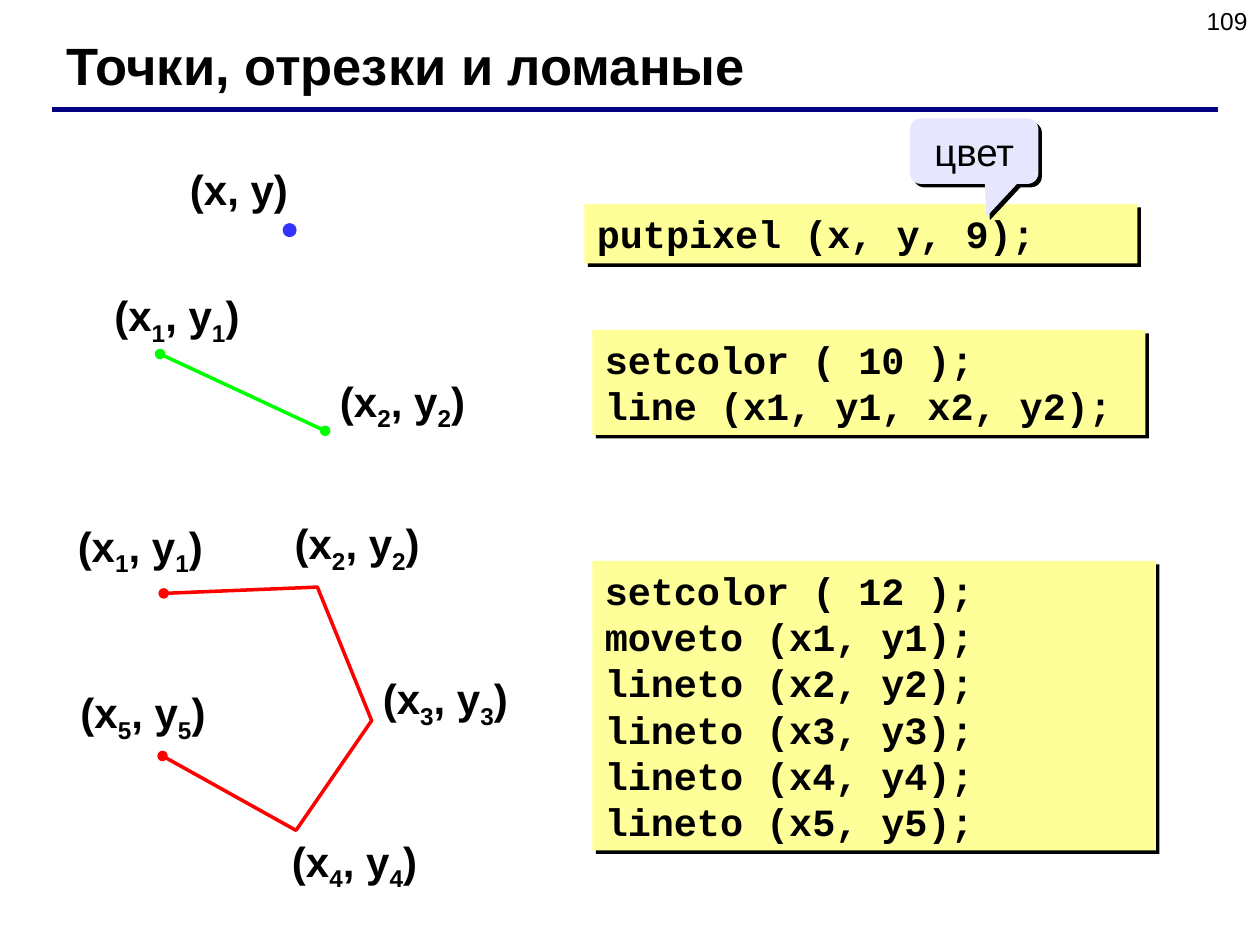
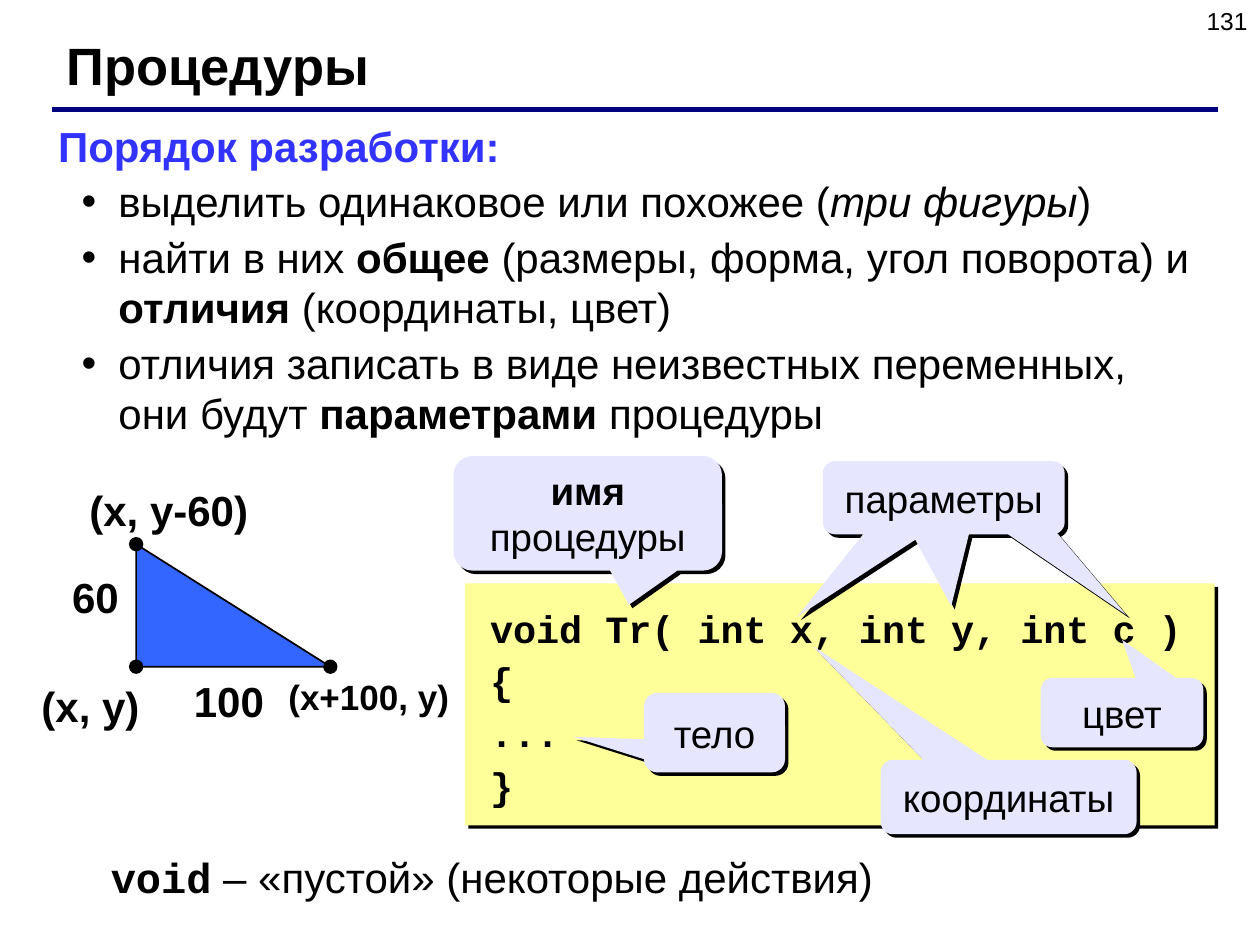
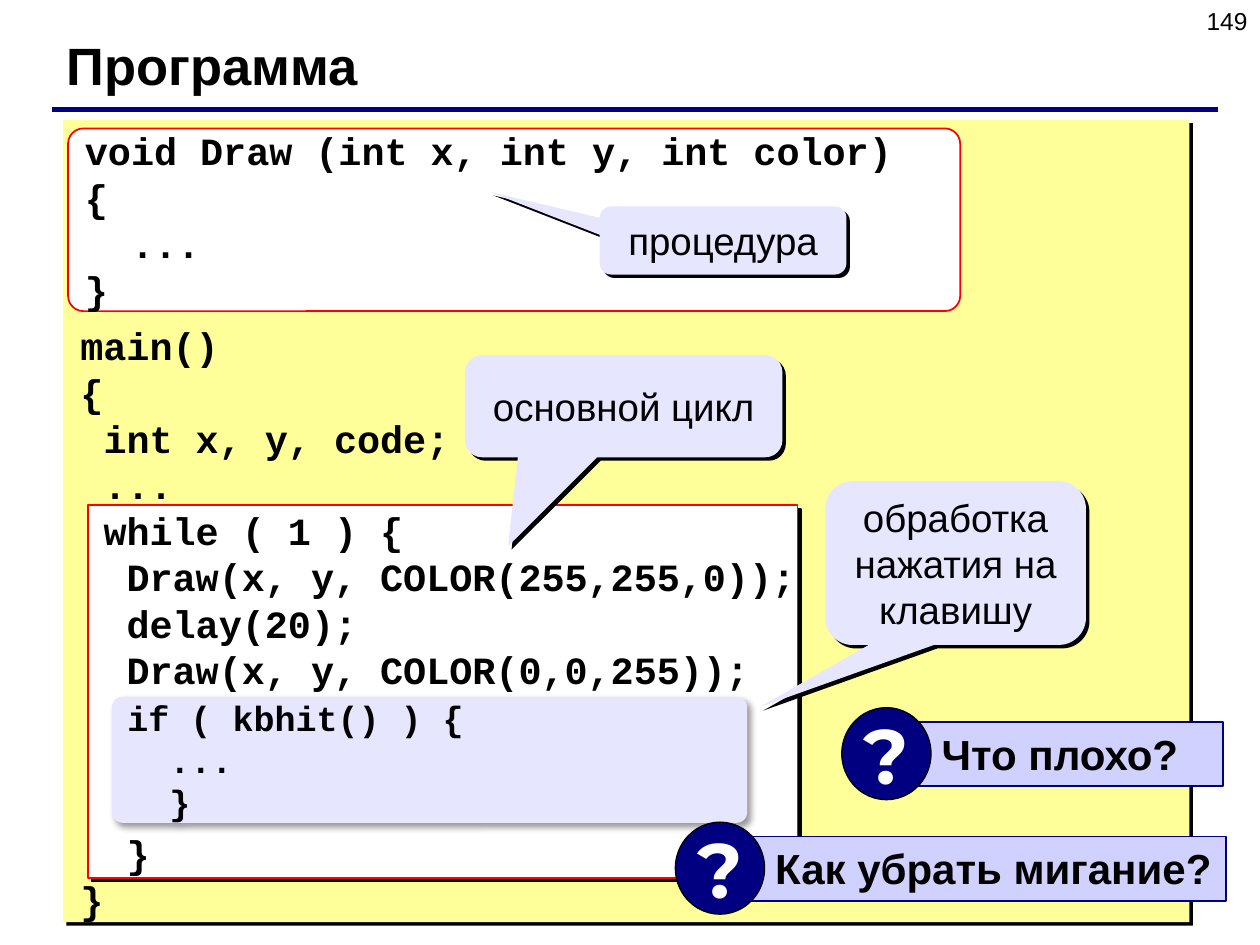
from dataclasses import dataclass

from lxml import etree
from pptx import Presentation
from pptx.dml import color
from pptx.enum import shapes, text
from pptx.oxml import ns
from pptx.util import Pt

# ---- Content: frames are (left, top, width, height) in points ----
HEADINGS = [("109", "Точки, отрезки и ломаные"), ("131", "Процедуры"), ("149", "Программа")]

PIXEL_LABEL = ("(x, y)", (101.5, 90, 89, 36))
PIXEL_DOT = (162, 128, 7, 7)
SEGMENT = [(91.5, 202.3), (185.8, 246.2)]
SEGMENT_LABELS = [(58.3, 162), (187.2, 211)]
POLYLINE = [(93.6, 339.1), (181.4, 335.5), (212.4, 411.8), (169.2, 474.5), (92.9, 432)]
POLYLINE_LABELS = [(37.4, 293.8), (161.3, 292.3), (211.7, 380.9), (159.8, 473.8), (38.9, 388.8)]
DRAWING_CODE = [
    ((334, 116.5, 316, 34), ["putpixel (x, y, 9);"]),
    ((338.5, 188.5, 316, 60), ["setcolor ( 10 );", "line (x1, y1, x2, y2);"]),
    ((338.5, 320.5, 322, 165.5), ["setcolor ( 12 );", "moveto (x1, y1);"]
     + [f"lineto (x{n}, y{n});" for n in range(2, 6)]),
]

# Callouts: frame, tail tip, lines
PIXEL_CALLOUT = ((520, 67.7, 73.4, 37.4), (0.095, 1.002), ["цвет"])

STEPS_HEADING = "Порядок разработки:"
STEPS = [
    ["выделить одинаковое или похожее (", ("три фигуры", "italic"), ")"],
    ["найти в них ", ("общее", "bold"), " (размеры, форма, угол поворота) и ",
     ("отличия", "bold"), " (координаты, цвет)"],
    ["отличия записать в виде неизвестных переменных, они будут ",
     ("параметрами", "bold"), " процедуры"],
]
TRIANGLE = (77.8, 311, 111, 70)
TRIANGLE_LABELS = [
    ("(x, y)", (16.6, 385.2, 79, 36), 24, "LEFT"),
    ("100", (103.7, 382.3, 73, 36), 24, "LEFT"),
    ("60", (26, 323.3, 49, 36), 24, "RIGHT"),
    ("(x+100, y)", (157.7, 382.3, 112, 31), 20, "LEFT"),
    ("(x, y-60)", (44, 273.6, 118, 36), 24, "LEFT"),
]
PROCEDURE_PANEL = (265.7, 333.4, 428.4, 138.2)
PROCEDURE_CODE = ((273, 342, 417.6, 126),
                  ["void Tr( int x, int y, int c )", "{", "...", "}"])
PROCEDURE_CALLOUTS = [
    ((259.2, 260.6, 153.4, 65.5), (0.153, 0.798), [[("имя", "bold")], "процедуры"]),
    ((368, 396, 80.6, 45.4), (-1.004, 0.052), ["тело"]),
    ((503.3, 434.2, 146.2, 42.5), (-0.766, -2.032), ["координаты"]),
    ((594.7, 387.4, 92.9, 39.6), (0.001, -1.05), ["цвет"]),
    ((470.2, 263.5, 138.2, 41.8), (-0.606, 1.627), ["параметры"]),
]
PARAMETER_TAILS = [(543.6, 346.3), (519.8, 302.4), (603.4, 303.8),
                   (643.7, 351.4), (576, 305.3), (553.7, 305.3)]
VOID_NOTE = ((56.2, 483.1, 454.3, 36.7),
             [[("void", "code"), " – «пустой» (некоторые действия)"]])

PROGRAM_PANEL = (36, 68.4, 643.7, 458.6)
LOOP_PANEL = (50.4, 288.7, 405.4, 213.1)
DRAW_CODE = ((38.9, 73.4, 509.8, 104.4),
             ["void Draw (int x, int y, int color)", "{", "  ...", "}"])
KEY_CODE = ((64, 398.2, 363, 72), ["if ( kbhit() ) {", "  ...", "  }"])
MAIN_CODE = ((38.9, 180.7, 600.5, 354.2), [
    "main()", "{", " int x, y, code;", " ...", " while ( 1 ) {",
    "  Draw(x, y, COLOR(255,255,0));", "  delay(20);", "  Draw(x, y, COLOR(0,0,255));",
    "  }", "}"])
LOOP_END, KEY_CODE_GAP = 8, 79  # line after the inner block, and the room left for it
PROGRAM_CALLOUTS = [
    ((342.7, 118, 141, 38.9), (-0.945, -0.713), ["процедура"]),
    ((265.7, 203, 181.4, 58.3), (-0.364, 1.371), ["основной цикл"]),
    ((471.6, 275, 149, 93.6), (-0.752, 0.88), ["обработка нажатия на клавишу"]),
]
QUESTIONS = [("Что плохо?", (517.7, 412.6, 181.4, 36.7)),
             ("Как убрать мигание?", (422.6, 478, 278, 36.7))]


# ---- Theme ----
@dataclass(frozen=True)
class Theme:
    sans: str = "Arial"
    mono: str = "Courier New"
    badge_font: str = "Montserrat"
    black: str = "000000"
    white: str = "FFFFFF"
    navy: str = "000080"
    blue: str = "3333FF"
    triangle: str = "3366FF"
    green: str = "00FF00"
    red: str = "FF0000"
    code_fill: str = "FFFF99"
    callout_fill: str = "E6E6FF"
    question_fill: str = "D1D1FF"
    number_size: int = 14
    title_size: int = 30
    text_size: int = 24
    code_size: int = 22
    small_code_size: int = 20
    badge_size: int = 44


T = Theme()
SHAPE = shapes.MSO_SHAPE
NUMBER_FRAME, TITLE_FRAME = (552, 0, 168, 37.5), (31, 15, 641, 43)
BODY_FRAME = (26, 65, 663, 195)
RULE = [(29.5, 62.7), (696, 62.7)]


# ---- Text helpers ----
def rgb(value):
    return color.RGBColor.from_string(value)


def points(values):
    return [Pt(value) for value in values]


def set_font(font, size, name=T.sans, tint=T.black, bold=False):
    font.size, font.name, font.bold = Pt(size), name, bold
    font.color.rgb = rgb(tint)


def add_spans(para, spans):
    """Spans are plain strings or (text, style) pairs."""
    for item in [spans] if isinstance(spans, str) else spans:
        words, style = (item, "") if isinstance(item, str) else item
        span = para.add_run()
        span.text = words
        if style in ("bold", "code"):
            span.font.bold = True
        if style == "code":
            span.font.name = T.mono
        if style == "italic":
            span.font.italic = True
        if style == "sub":
            span.font._element.set("baseline", "-25000")


def indent(para, left, first=0):
    props = para._p.get_or_add_pPr()
    props.set("marL", str(Pt(left)))
    props.set("indent", str(Pt(first)))
    return props


def write(box, lines, size, align="LEFT", anchor="TOP", gap=0, wrap=True, **font):
    """Fill a box with paragraphs; leading blanks in code become indents."""
    frame = box.text_frame
    frame.word_wrap = wrap
    frame.auto_size = text.MSO_AUTO_SIZE.NONE
    frame.vertical_anchor = getattr(text.MSO_ANCHOR, anchor)
    for number, line in enumerate(lines):
        para = frame.add_paragraph() if number else frame.paragraphs[0]
        para.alignment = getattr(text.PP_ALIGN, align)
        para.space_before = Pt(gap if number else 0)
        if isinstance(line, str):
            depth = len(line) - len(line.lstrip())
            if depth:
                indent(para, round(depth * size * 0.6, 2))
            line = line.lstrip()
        add_spans(para, line)
        set_font(para.font, size, **font)
    return box


def place(box, frame):
    box.left, box.top, box.width, box.height = points(frame)


def add_text(page, frame, lines, size, **style):
    return write(page.shapes.add_textbox(*points(frame)), lines, size, **style)


def add_label(page, words, frame, size=T.text_size, align="LEFT"):
    add_text(page, frame, [words], size, align=align, bold=True)


def add_code(box, lines, size=T.code_size, **style):
    return write(box, lines, size, name=T.mono, bold=True, **style)


# ---- Shape helpers ----
def cast_shadow(shape, distance=2.8, blur=0, opacity=100):
    effects = shape.element.spPr.find(ns.qn("a:effectLst"))
    outer = etree.SubElement(effects, ns.qn("a:outerShdw"), blurRad=str(Pt(blur)),
                             dist=str(Pt(distance)), dir="2700000", algn="ctr", rotWithShape="0")
    tint = etree.SubElement(outer, ns.qn("a:srgbClr"), val=T.black)
    etree.SubElement(tint, ns.qn("a:alpha"), val=str(opacity * 1000))


def paint(shape, fill=None, line=None, width=1, shadow=False):
    shape.shadow.inherit = False
    if fill:
        shape.fill.solid()
        shape.fill.fore_color.rgb = rgb(fill)
    else:
        shape.fill.background()
    if line:
        shape.line.color.rgb = rgb(line)
        shape.line.width = Pt(width)
    else:
        shape.line.fill.background()
    if shadow:
        cast_shadow(shape)
    return shape


def add_box(page, kind, frame, fill, **style):
    return paint(page.shapes.add_shape(kind, *points(frame)), fill, **style)


def add_panel(page, frame):
    return add_box(page, SHAPE.RECTANGLE, frame, T.code_fill, shadow=True)


def add_callout(page, frame, tip, lines):
    box = add_box(page, SHAPE.ROUNDED_RECTANGULAR_CALLOUT, frame, T.callout_fill, shadow=True)
    box.adjustments[0], box.adjustments[1] = tip
    write(box, lines, T.code_size, align="CENTER", anchor="MIDDLE")


def add_line(page, ends, tint, width):
    start, end = ends
    line = page.shapes.add_connector(shapes.MSO_CONNECTOR.STRAIGHT, *points(start + end))
    line.line.color.rgb = rgb(tint)
    line.line.width = Pt(width)
    etree.SubElement(line.element.spPr, ns.qn("a:effectLst"))
    return line


def add_outline(page, corners, close):
    start, *rest = [points(corner) for corner in corners]
    builder = page.shapes.build_freeform(*start, scale=1.0)
    builder.add_line_segments(rest, close=close)
    return builder.convert_to_shape()


def round_ends(shape):
    stroke = shape.element.spPr.find(ns.qn("a:ln"))
    for end in ("a:headEnd", "a:tailEnd"):
        etree.SubElement(stroke, ns.qn(end), type="oval")


def add_question(page, words, frame):
    left, top = frame[:2]
    banner = add_box(page, SHAPE.RECTANGLE, frame, T.question_fill, line=T.navy)
    write(banner, [words], T.text_size, bold=True)
    indent(banner.text_frame.paragraphs[0], 13.3)
    badge = add_box(page, SHAPE.OVAL, (left - 36.7, top - 8.2, 51, 52.6), T.navy,
                    line=T.black, width=0.75)
    write(badge, ["?"], T.badge_size, align="CENTER", anchor="MIDDLE", wrap=False,
          name=T.badge_font, tint=T.white, bold=True)


def start_page(deck, heading, layout=5):
    """Number, title and rule shared by every slide."""
    number, title = heading
    page = deck.slides.add_slide(deck.slide_layouts[layout])
    place(page.shapes.title, TITLE_FRAME)
    write(page.shapes.title, [title], T.title_size, bold=True)
    add_text(page, NUMBER_FRAME, [number], T.number_size, align="RIGHT")
    add_line(page, RULE, T.navy, 3)
    return page


# ---- Slides ----
def point_name(n):
    return ["(x", (str(n), "sub"), ", y", (str(n), "sub"), ")"]


def build_drawing(deck):
    page = start_page(deck, HEADINGS[0])
    round_ends(add_line(page, SEGMENT, T.green, 2))
    route = paint(add_outline(page, POLYLINE, close=False), line=T.red, width=2)
    round_ends(route)
    for spots in (SEGMENT_LABELS, POLYLINE_LABELS):
        for n, spot in enumerate(spots, 1):
            add_label(page, point_name(n), spot + (89, 36))
    add_label(page, *PIXEL_LABEL)
    add_box(page, SHAPE.OVAL, PIXEL_DOT, T.blue, line=T.blue)
    for frame, lines in DRAWING_CODE:
        add_code(add_panel(page, frame), lines)
    add_callout(page, *PIXEL_CALLOUT)


def build_procedures(deck):
    page = start_page(deck, HEADINGS[1], layout=1)

    # Steps
    body = page.placeholders[1]
    place(body, BODY_FRAME)
    write(body, [STEPS_HEADING] + STEPS, T.text_size, gap=3)
    heading, *steps = body.text_frame.paragraphs
    set_font(heading.font, T.text_size, tint=T.blue, bold=True)
    for para in [heading] + steps:
        is_step = para is not heading
        props = indent(para, 34.5, -21) if is_step else indent(para, 0)
        bullet = etree.Element(ns.qn("a:buChar" if is_step else "a:buNone"))
        if is_step:
            para.level = 1
            bullet.set("char", "•")
        props.find(ns.qn("a:defRPr")).addprevious(bullet)

    # Triangle with a dot on each corner
    add_box(page, SHAPE.RIGHT_TRIANGLE, TRIANGLE, T.triangle, line=T.black)
    left, top, width, height = TRIANGLE
    for x, y in [(left, top), (left, top + height), (left + width, top + height)]:
        add_box(page, SHAPE.OVAL, (x - 3.6, y - 3.6, 7.2, 7.2), T.black, line=T.black)
    for label in TRIANGLE_LABELS:
        add_label(page, *label)

    # Code and its callouts
    add_panel(page, PROCEDURE_PANEL)
    frame, lines = PROCEDURE_CODE
    add_code(page.shapes.add_textbox(*points(frame)), lines, gap=3.5)
    for callout in PROCEDURE_CALLOUTS:
        add_callout(page, *callout)
    paint(add_outline(page, PARAMETER_TAILS, close=True), T.callout_fill, shadow=True)
    add_text(page, *VOID_NOTE, T.text_size)


def build_program(deck):
    page = start_page(deck, HEADINGS[2])
    add_panel(page, PROGRAM_PANEL)
    add_box(page, SHAPE.RECTANGLE, LOOP_PANEL, T.white, line=T.red, shadow=True)

    # Highlighted blocks
    frame, lines = DRAW_CODE
    draw = add_box(page, SHAPE.ROUNDED_RECTANGLE, frame, T.white, line=T.red)
    add_code(draw, lines, anchor="MIDDLE")
    frame, lines = KEY_CODE
    key = add_box(page, SHAPE.ROUNDED_RECTANGLE, frame, T.callout_fill)
    cast_shadow(key, distance=3, blur=4, opacity=40)
    add_code(key, lines, T.small_code_size, anchor="MIDDLE")
    for block in (draw, key):
        block.adjustments[0] = 0.084

    for callout in PROGRAM_CALLOUTS:
        add_callout(page, *callout)
    frame, lines = MAIN_CODE
    main_code = add_code(page.shapes.add_textbox(*points(frame)), lines)
    main_code.text_frame.paragraphs[LOOP_END].space_before = Pt(KEY_CODE_GAP)
    for question in QUESTIONS:
        add_question(page, *question)


def main():
    deck = Presentation()
    deck.slide_width, deck.slide_height = Pt(720), Pt(540)
    for build in (build_drawing, build_procedures, build_program):
        build(deck)
    deck.save("out.pptx")


if __name__ == "__main__":
    main()
